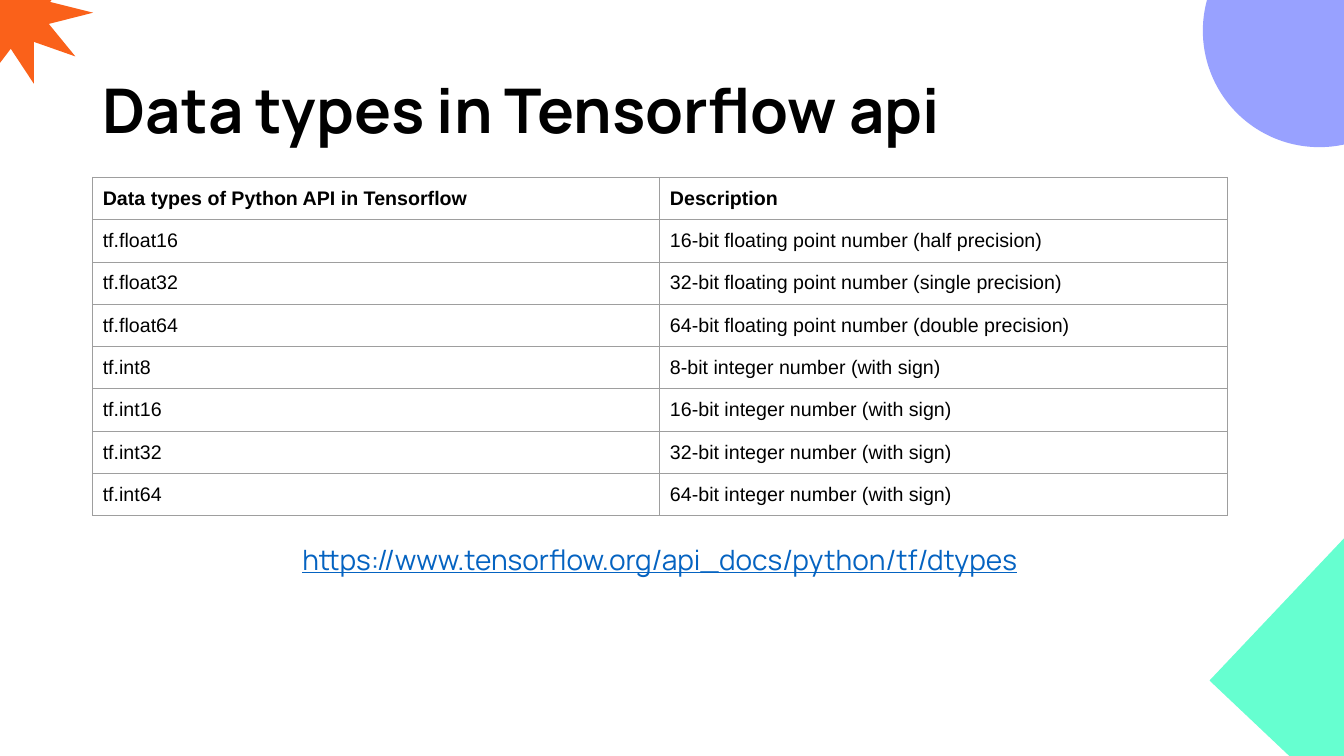
import pptx
import pptx.util
import pptx.dml.color
import pptx.enum.shapes
import pptx.enum.text
import pptx.oxml
import pptx.oxml.ns

WIDE = pptx.util.Inches(13.33)
HIGH = pptx.util.Inches(7.5)
INK = {"black": "000000", "link": "0563C1", "rule": "9E9E9E",
       "violet": "98A1FF", "mint": "66FFD0", "orange": "FA611A"}
KIND = pptx.enum.shapes.MSO_SHAPE
ALIGN = pptx.enum.text.PP_ALIGN
ANCHOR = pptx.enum.text.MSO_ANCHOR
TYPES = [("Data types of Python API in Tensorflow", "Description")]
TYPES += [(f"tf.float{bits}", f"{bits}-bit floating point number ({grade} precision)")
          for bits, grade in ((16, "half"), (32, "single"), (64, "double"))]
TYPES += [(f"tf.int{bits}", f"{bits}-bit integer number (with sign)")
          for bits in (8, 16, 32, 64)]


def paint(name):
    """Return the named colour."""
    return pptx.dml.color.RGBColor.from_string(INK[name])


def share(left, top, width, height):
    """Turn percentages of the slide into a box of lengths."""
    return [round(part * side / 100) for part, side in
            zip((left, top, width, height), (WIDE, HIGH, WIDE, HIGH))]


def write(frame, text, size=14, face="Arial", ink="black", bold=False,
          line=False, align=ALIGN.LEFT, lead=1.0, pad=0.1):
    """Put one formatted paragraph into a text frame."""
    frame.word_wrap = True
    frame.margin_left = frame.margin_right = pptx.util.Inches(0.1)
    frame.margin_top = frame.margin_bottom = pptx.util.Inches(pad)
    para = frame.paragraphs[0]
    para.alignment = align
    para.line_spacing = lead
    run = para.add_run()
    run.text = text
    font = run.font
    font.name, font.size = face, pptx.util.Pt(size)
    font.bold, font.underline = bold, line
    font.color.rgb = paint(ink)


def shape(slide, kind, box, ink, turn=0):
    """Add a plain filled shape."""
    form = slide.shapes.add_shape(kind, *share(*box))
    form.shadow.inherit = False
    form.fill.solid()
    form.fill.fore_color.rgb = paint(ink)
    form.line.fill.background()
    form.rotation = turn
    return form


def border(cell):
    """Rule all four sides of a cell and clear its fill."""
    props = cell._tc.get_or_add_tcPr()
    for side in "LRTB":
        props.append(pptx.oxml.parse_xml(
            f'<a:ln{side} {pptx.oxml.ns.nsdecls("a")} w="{pptx.util.Pt(0.75)}">'
            f'<a:solidFill><a:srgbClr val="{INK["rule"]}"/></a:solidFill>'
            f'</a:ln{side}>'))
    cell.fill.background()


def grid(slide, rows, box):
    """Add a ruled table with a bold first row."""
    table = slide.shapes.add_table(len(rows), len(rows[0]), *share(*box)).table
    table.horz_banding = table.first_row = False
    for y, row in enumerate(rows):
        for x, text in enumerate(row):
            cell = table.cell(y, x)
            border(cell)
            write(cell.text_frame, text, bold=y == 0)
            cell.margin_left = cell.margin_right = pptx.util.Inches(0.1)
            cell.margin_top = cell.margin_bottom = pptx.util.Inches(0.1)


def head(slide, text, box):
    """Place and fill the title."""
    title = slide.shapes.title
    title.left, title.top, title.width, title.height = share(*box)
    title.text_frame.vertical_anchor = ANCHOR.MIDDLE
    write(title.text_frame, text, size=44, face="Manrope", bold=True,
          lead=0.9, pad=0.05)


def main():
    """Build and save the slide."""
    deck = pptx.Presentation()
    deck.slide_width, deck.slide_height = WIDE, HIGH
    slide = deck.slides.add_slide(deck.slide_layouts[5])
    shape(slide, KIND.OVAL, (89.5, -11.33, 17.33, 30.8), "violet")
    shape(slide, KIND.RECTANGLE, (92.8, 65.6, 29.1, 36), "mint", 313.4)
    star = shape(slide, KIND.STAR_10_POINT, (-4.8, -8, 11.48, 19.47), "orange", 343.3)
    star.adjustments[0] = 0.24
    head(slide, "Data types in Tensorflow api", (6.9, 5.33, 81.7, 19.33))
    grid(slide, TYPES, (6.9, 23.47, 84.4, 44.8))
    link = slide.shapes.add_textbox(*share(6.9, 70.4, 84.4, 11.73))
    write(link.text_frame, "https://www.tensorflow.org/api_docs/python/tf/dtypes",
          size=20, face="Manrope", ink="link", line=True, align=ALIGN.CENTER)
    deck.save("out.pptx")


if __name__ == "__main__":
    main()
